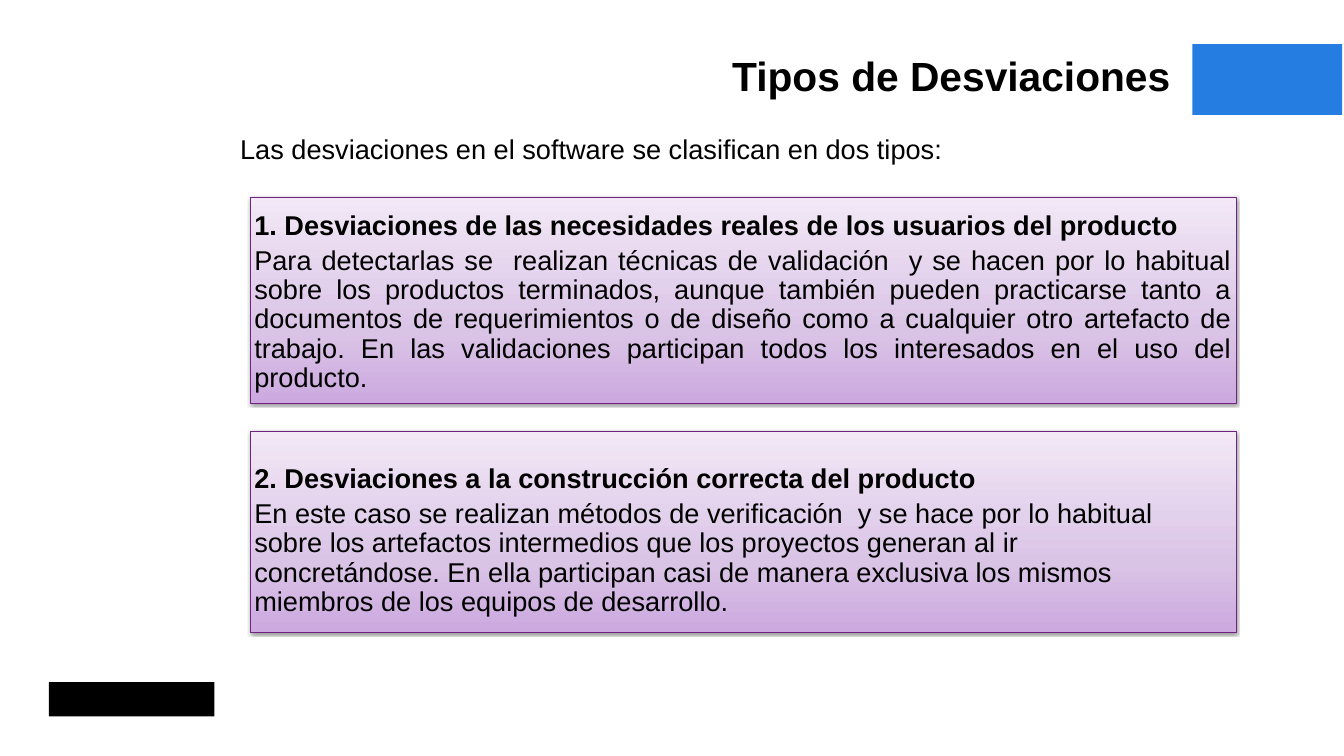
from copy import deepcopy
from dataclasses import dataclass

from lxml.etree import SubElement
from pptx import Presentation
from pptx.dml.color import RGBColor
from pptx.enum.shapes import MSO_SHAPE as SHAPE
from pptx.enum.text import MSO_ANCHOR as ANCHOR, PP_ALIGN as ALIGN
from pptx.oxml.ns import qn
from pptx.util import Cm, Pt

BLACK, BLUE, PURPLE = "000000", "257CE1", "6E2383"
GRADIENT = ((0, "CCA9DF"), (0.35, "DAC4E6"), (1, "F2E8F6"))
PANEL_LEFT, PANEL_WIDTH = 10.39, 41


@dataclass
class Box:
    """Place and size in centimetres."""
    left: float
    top: float
    width: float
    height: float

    def lengths(self):
        return Cm(self.left), Cm(self.top), Cm(self.width), Cm(self.height)


@dataclass
class Deviation:
    panel: Box
    text_box: Box
    heading: str
    body: str
    body_align: ALIGN


DEVIATIONS = (
    Deviation(
        Box(PANEL_LEFT, 8.2, PANEL_WIDTH, 8.56),
        Box(PANEL_LEFT, 7.54, PANEL_WIDTH, 10.08),
        "1. Desviaciones de las necesidades reales de los usuarios del producto",
        "Para detectarlas se  realizan técnicas de validación  y se hacen por lo "
        "habitual sobre los productos terminados, aunque también pueden practicarse "
        "tanto a documentos de requerimientos o de diseño como a cualquier otro "
        "artefacto de trabajo. En las validaciones participan todos los interesados "
        "en el uso del producto.",
        ALIGN.JUSTIFY),
    Deviation(
        Box(PANEL_LEFT, 17.93, PANEL_WIDTH, 8.36),
        Box(PANEL_LEFT, 17.63, 39.12, 9.73),
        "2. Desviaciones a la construcción correcta del producto",
        "En este caso se realizan métodos de verificación  y se hace por lo habitual "
        "sobre los artefactos intermedios que los proyectos generan al ir "
        "concretándose. En ella participan casi de manera exclusiva los mismos "
        "miembros de los equipos de desarrollo.",
        ALIGN.LEFT),
)


def rgb(color: str) -> RGBColor:
    return RGBColor.from_string(color)


def add_rect(slide, box: Box, color: str):
    sp = slide.shapes.add_shape(SHAPE.RECTANGLE, *box.lengths())
    sp.shadow.inherit = False
    sp.fill.solid()
    sp.fill.fore_color.rgb = rgb(color)
    sp.line.fill.background()
    return sp


def add_panel(slide, box: Box) -> None:
    """Add an outlined rectangle with a vertical gradient and a soft shadow."""
    sp = add_rect(slide, box, PURPLE)
    sp.line.color.rgb = rgb(PURPLE)
    sp.line.width = Pt(0.75)

    sp.fill.gradient()
    sp.fill.gradient_angle = 90
    stop_list = sp._element.spPr.find(".//" + qn("a:gsLst"))
    stop_list.append(deepcopy(stop_list[-1]))
    for stop, (position, color) in zip(sp.fill.gradient_stops, GRADIENT):
        stop.position = position
        stop.color.rgb = rgb(color)

    effects = sp._element.spPr.find(qn("a:effectLst"))
    shadow = SubElement(effects, qn("a:outerShdw"), blurRad=str(Pt(3.1)),
                        dist=str(Pt(1.6)), dir="5400000", rotWithShape="0")
    shade = SubElement(shadow, qn("a:srgbClr"), val=BLACK)
    SubElement(shade, qn("a:alpha"), val="38000")


def add_text_frame(slide, box: Box, inset_x: float = 0, inset_y: float = 0,
                   anchor: ANCHOR = ANCHOR.TOP):
    tf = slide.shapes.add_textbox(*box.lengths()).text_frame
    tf.word_wrap = True
    tf.vertical_anchor = anchor
    tf.margin_left = tf.margin_right = Cm(inset_x)
    tf.margin_top = tf.margin_bottom = Cm(inset_y)
    return tf


def write(p, text: str, size: float = 32, bold: bool = False,
          align: ALIGN = ALIGN.LEFT, line_spacing: float = 1,
          space_before: float = 0) -> None:
    p.alignment = align
    p.line_spacing = line_spacing
    p.space_before = Pt(space_before)
    r = p.add_run()
    r.text = text
    r.font.name = "Arial"
    r.font.size = Pt(size)
    r.font.bold = bold
    r.font.color.rgb = rgb(BLACK)


def add_deviation(slide, item: Deviation) -> None:
    add_panel(slide, item.panel)
    tf = add_text_frame(slide, item.text_box, 0.18, 0.18, ANCHOR.MIDDLE)
    write(tf.paragraphs[0], item.heading, bold=True, line_spacing=0.9)
    write(tf.add_paragraph(), item.body, align=item.body_align,
          line_spacing=0.9, space_before=6.3)


def main() -> None:
    prs = Presentation()
    prs.slide_width, prs.slide_height = Cm(55.86), Cm(31.42)
    slide = prs.slides.add_slide(prs.slide_layouts[6])

    add_rect(slide, Box(2.03, 28.35, 6.88, 1.42), BLACK)
    add_rect(slide, Box(49.56, 1.83, 6.22, 2.95), BLUE)

    title = add_text_frame(slide, Box(2.03, 2.11, 46.63, 2.06))
    write(title.paragraphs[0], "Tipos de Desviaciones", size=48, bold=True,
          align=ALIGN.RIGHT)
    intro = add_text_frame(slide, Box(9.73, 5.36, 39.8, 1.55), 0.25, 0.13)
    write(intro.paragraphs[0],
          "Las desviaciones en el software se clasifican en dos tipos:",
          align=ALIGN.JUSTIFY)

    for item in DEVIATIONS:
        add_deviation(slide, item)
    prs.save("out.pptx")


if __name__ == "__main__":
    main()
